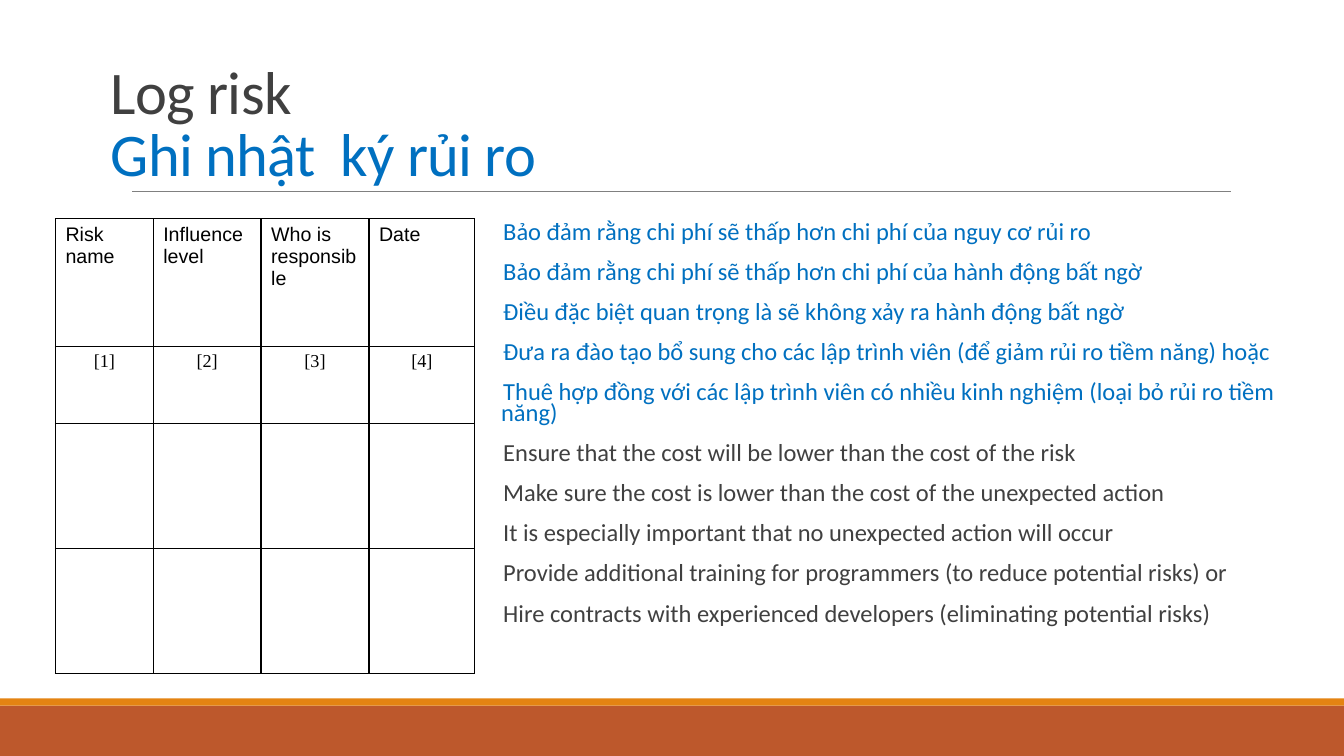
from lxml import etree
from pptx import Presentation
from pptx.dml.color import RGBColor
from pptx.enum.shapes import MSO_CONNECTOR, MSO_SHAPE
from pptx.enum.text import MSO_ANCHOR, MSO_AUTO_SIZE, PP_ALIGN
from pptx.oxml.ns import qn
from pptx.util import Inches, Pt

LEFT, CENTER = PP_ALIGN.LEFT, PP_ALIGN.CENTER
TOP, BOTTOM = MSO_ANCHOR.TOP, MSO_ANCHOR.BOTTOM
NO_AUTOFIT = MSO_AUTO_SIZE.NONE
RECTANGLE, STRAIGHT = MSO_SHAPE.RECTANGLE, MSO_CONNECTOR.STRAIGHT

THEME = {
    "rust": "BD582C", "orange": "E48312", "rule": "808080",
    "dark": "404040", "blue": "0070C0", "black": "000000",
    "sans": "Calibri", "header_font": "Arial", "index_font": "Times New Roman",
    "title_size": 43.2, "body_size": 17.5, "header_size": 14, "index_size": 13,
}


def color(name):
    return RGBColor.from_string(THEME[name])


def write(paragraph, text, font="sans", size="body_size", ink="dark", align=LEFT,
          line=None, before=None, after=None, hang=0, bullet=None, tracking=None):
    paragraph.alignment = align
    if line is not None:
        paragraph.line_spacing = line
    if before is not None:
        paragraph.space_before = Pt(before)
    if after is not None:
        paragraph.space_after = Pt(after)
    properties = paragraph._p.get_or_add_pPr()
    if hang:
        properties.set("marL", str(Inches(hang)))
        properties.set("indent", str(-Inches(hang)))
    if bullet:
        tint = etree.SubElement(properties, qn("a:buClr"))
        etree.SubElement(tint, qn("a:srgbClr"), val=THEME["orange"])
        etree.SubElement(properties, qn("a:buChar"), char=bullet)
    run = paragraph.add_run()
    run.text = text
    run.font.name = THEME[font]
    run.font.size = Pt(THEME[size])
    run.font.bold = False
    run.font.color.rgb = color(ink)
    if tracking:
        run._r.get_or_add_rPr().set("spc", str(tracking))


prs = Presentation()
prs.slide_width, prs.slide_height = Inches(13.33), Inches(7.5)
slide = prs.slides.add_slide(prs.slide_layouts[5])

for top, height, ink in [(7, 0.5, "rust"), (6.93, 0.07, "orange")]:
    band = slide.shapes.add_shape(RECTANGLE, 0, Inches(top), prs.slide_width, Inches(height))
    band.shadow.inherit = False
    band.fill.solid()
    band.fill.fore_color.rgb = color(ink)
    band.line.fill.background()

title_rule = slide.shapes.add_connector(STRAIGHT, Inches(1.31), Inches(1.9), Inches(12.21), Inches(1.9))
title_rule.line.color.rgb = color("rule")
title_rule.line.width = Pt(0.5)
etree.SubElement(title_rule._element.spPr, qn("a:effectLst"))

title = slide.shapes.title
title.left, title.top, title.width, title.height = map(Inches, (1, 0.67, 11.78, 1.25))
title.text_frame.auto_size = NO_AUTOFIT
title.text_frame.vertical_anchor = BOTTOM
heading = title.text_frame.paragraphs[0]
write(heading, "Log risk", size="title_size", line=0.85, tracking=-50)
heading.add_line_break()
write(heading, "Ghi nhật  ký rủi ro", size="title_size", ink="blue", tracking=-50)

columns = ["Risk name", "Influence level", "Who is responsible", "Date"]
column_widths = [0.97, 1.07, 1.07, 1.05]
row_heights = [1.27, 0.76, 1.24, 1.24]
risk_log = slide.shapes.add_table(
    len(row_heights), len(columns), Inches(0.55), Inches(2.17),
    Inches(sum(column_widths)), Inches(sum(row_heights))).table
risk_log.first_row = False
risk_log.horz_banding = False
for column, width in zip(risk_log.columns, column_widths):
    column.width = Inches(width)
for row, height in zip(risk_log.rows, row_heights):
    row.height = Inches(height)

for cell in risk_log.iter_cells():
    cell_properties = cell._tc.get_or_add_tcPr()
    for side in ("a:lnL", "a:lnR", "a:lnT", "a:lnB"):
        border = etree.SubElement(cell_properties, qn(side), w=str(Pt(1)))
        border_fill = etree.SubElement(border, qn("a:solidFill"))
        etree.SubElement(border_fill, qn("a:srgbClr"), val=THEME["black"])
    cell.fill.background()

for index, name in enumerate(columns):
    write(risk_log.cell(0, index).text_frame.paragraphs[0], name,
          font="header_font", size="header_size", ink="black")
    write(risk_log.cell(1, index).text_frame.paragraphs[0], f"[{index + 1}]",
          font="index_font", size="index_size", ink="black", align=CENTER, hang=0.38)

advice = {
    "blue": [
        "Bảo đảm rằng chi phí sẽ thấp hơn chi phí của nguy cơ rủi ro",
        "Bảo đảm rằng chi phí sẽ thấp hơn chi phí của hành động bất ngờ",
        "Điều đặc biệt quan trọng là sẽ không xảy ra hành động bất ngờ",
        "Đưa ra đào tạo bổ sung cho các lập trình viên (để giảm rủi ro tiềm năng) hoặc",
        "Thuê hợp đồng với các lập trình viên có nhiều kinh nghiệm (loại bỏ rủi ro tiềm năng)",
    ],
    "dark": [
        "Ensure that the cost will be lower than the cost of the risk",
        "Make sure the cost is lower than the cost of the unexpected action",
        "It is especially important that no unexpected action will occur",
        "Provide additional training for programmers (to reduce potential risks) or",
        "Hire contracts with experienced developers (eliminating potential risks)",
    ],
}
advice_frame = slide.shapes.add_textbox(
    Inches(4.87), Inches(2.17), Inches(7.84), Inches(4.5)).text_frame
advice_frame.word_wrap = True
advice_frame.auto_size = NO_AUTOFIT
advice_frame.vertical_anchor = TOP
advice_frame.margin_left = advice_frame.margin_right = 0
advice_frame.margin_top = advice_frame.margin_bottom = Inches(0.05)
paragraph = advice_frame.paragraphs[0]
for ink, sentences in advice.items():
    for sentence in sentences:
        if paragraph.runs:
            paragraph = advice_frame.add_paragraph()
        write(paragraph, sentence, ink=ink, line=0.7, before=12, after=2, hang=0.1, bullet=" ")

prs.save("out.pptx")
